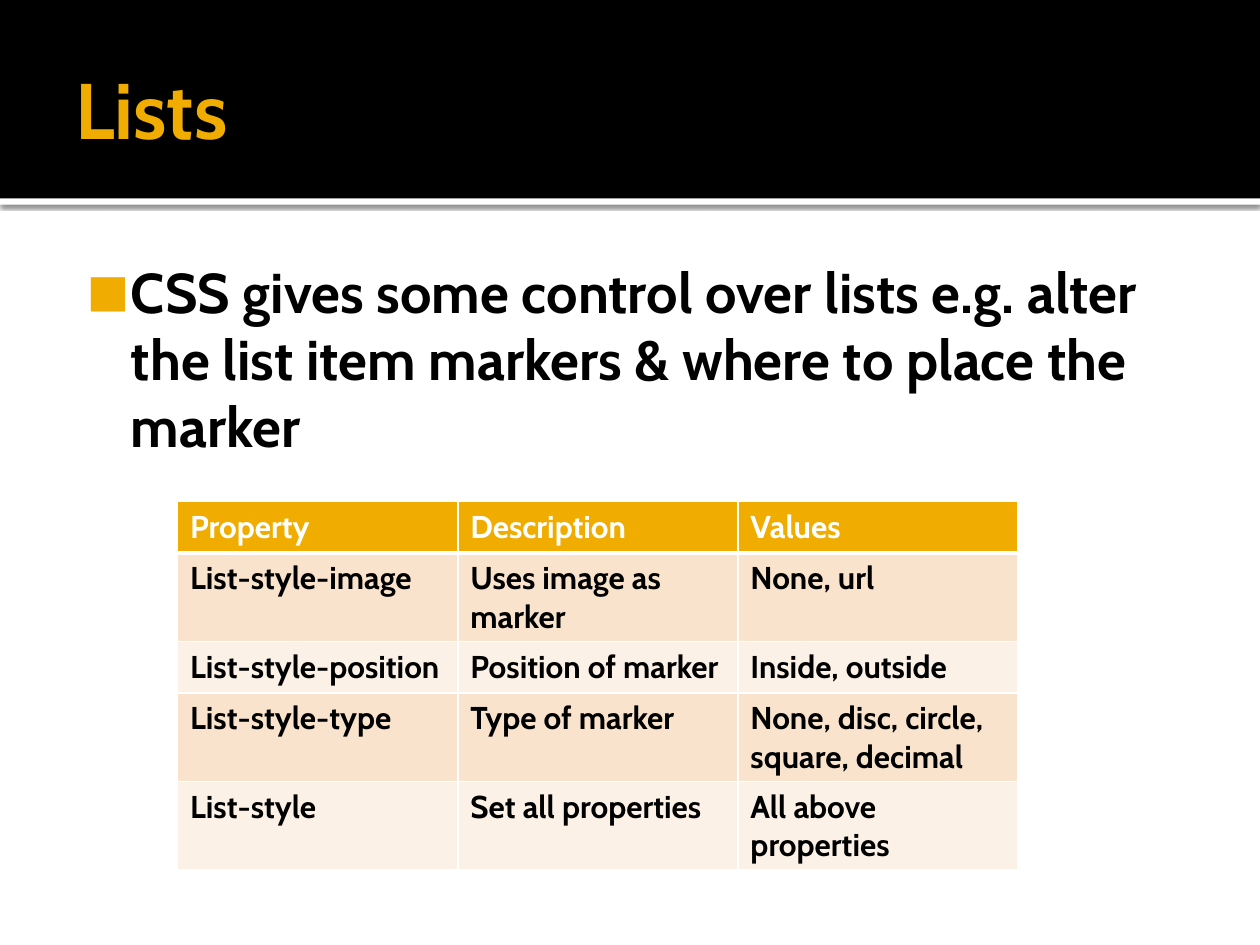
from dataclasses import dataclass

from lxml.etree import SubElement
from pptx import Presentation
from pptx.dml.color import RGBColor as Rgb
from pptx.enum.shapes import MSO_SHAPE as Shape
from pptx.enum.text import MSO_ANCHOR as Anchor
from pptx.oxml import parse_xml
from pptx.oxml.ns import nsdecls, qn
from pptx.util import Inches, Pt

WIDE, HIGH = 10, 7.5


@dataclass(frozen=True)
class Theme:
    font: str = "Cabin"
    gold: str = "F0AD00"
    black: str = "000000"
    white: str = "FFFFFF"
    bands: tuple = ("F9E3CC", "FCF1E7")
    title: int = 45
    body: int = 32
    cell: int = 18


THEME = Theme()

ROWS = [
    ("Property", "Description", "Values"),
    ("List-style-image", "Uses image as marker", "None, url"),
    ("List-style-position", "Position of marker", "Inside, outside"),
    ("List-style-type", "Type of marker", "None, disc, circle, square, decimal"),
    ("List-style", "Set all properties", "All above properties"),
]


def span(box):
    return [Inches(v) for v in box]


def write(frame, text, size, color, pad=None, anchor=Anchor.TOP):
    """Fill a text frame; pad is left, top, right, bottom in inches."""
    frame.word_wrap = True
    frame.vertical_anchor = anchor
    if pad:
        (frame.margin_left, frame.margin_top,
         frame.margin_right, frame.margin_bottom) = span(pad)
    para = frame.paragraphs[0]
    run = para.add_run()
    run.text = text
    font = run.font
    font.name, font.size, font.bold = THEME.font, Pt(size), True
    font.color.rgb = Rgb.from_string(color)
    return para


def bullet(para, left, hang):
    props = para._p.get_or_add_pPr()
    props.set("marL", str(Inches(left)))
    props.set("indent", str(-Inches(hang)))
    tint = SubElement(props, qn("a:buClr"))
    SubElement(tint, qn("a:srgbClr"), val=THEME.gold)
    SubElement(props, qn("a:buSzPct"), val="80000")
    SubElement(props, qn("a:buFont"), typeface=THEME.font)
    SubElement(props, qn("a:buChar"), char="■")


def bar(slide, box, color):
    shape = slide.shapes.add_shape(Shape.RECTANGLE, *span(box))
    shape.shadow.inherit = False
    shape.fill.solid()
    shape.fill.fore_color.rgb = Rgb.from_string(color)
    shape.line.fill.background()
    return shape


def shade(shape):
    """Cast a soft shadow straight down."""
    effects = shape._element.spPr.find(qn("a:effectLst"))
    effects.append(parse_xml(
        f'<a:outerShdw {nsdecls("a")} blurRad="{Pt(2.5)}" dist="{Pt(0.8)}" '
        f'dir="5400000" rotWithShape="0"><a:srgbClr val="{THEME.black}">'
        '<a:alpha val="60000"/></a:srgbClr></a:outerShdw>'))


def header(slide, box):
    left, top, width, height = box
    shade(bar(slide, (left, top + height, width, 0.05), THEME.white))
    bar(slide, box, THEME.black)
    spot = (left + width * 0.05, top + 0.17, width * 0.9, height - 0.2)
    frame = slide.shapes.add_textbox(*span(spot)).text_frame
    write(frame, "Lists", THEME.title, THEME.gold,
          pad=(0.1, 0.05, 0.05, 0.05), anchor=Anchor.MIDDLE)


def body(slide, box):
    frame = slide.shapes.add_textbox(*span(box)).text_frame
    para = write(
        frame, "CSS gives some control over lists e.g. alter the list item "
        "markers & where to place the marker", THEME.body, THEME.black,
        pad=(0.06, 0.1, 0.1, 0.05))
    bullet(para, 0.48, 0.35)


def edge(cell, widths):
    """Draw the cell's borders; widths maps a side to points."""
    props = cell._tc.get_or_add_tcPr()
    for i, side in enumerate("LRTB"):
        props.insert(i, parse_xml(
            f'<a:ln{side} {nsdecls("a")} w="{Pt(widths.get(side, 1))}">'
            f'<a:solidFill><a:srgbClr val="{THEME.white}"/></a:solidFill>'
            f'</a:ln{side}>'))


def grid(slide, box, rows):
    frame = slide.shapes.add_table(len(rows), len(rows[0]), *span(box))
    table = frame.table
    for r, row in enumerate(rows):
        head = r == 0
        fill = THEME.gold if head else THEME.bands[(r - 1) % 2]
        color = THEME.white if head else THEME.black
        thick = {0: {"B": 3}, 1: {"T": 3}}.get(r, {})
        for c, text in enumerate(row):
            cell = table.cell(r, c)
            cell.fill.solid()
            cell.fill.fore_color.rgb = Rgb.from_string(fill)
            write(cell.text_frame, text, THEME.cell, color)
            edge(cell, thick)


def main():
    deck = Presentation()
    deck.slide_width, deck.slide_height = Inches(WIDE), Inches(HIGH)
    slide = deck.slides.add_slide(deck.slide_layouts[6])
    header(slide, (0, 0, WIDE, HIGH * 0.21))
    body(slide, (WIDE * 0.05, 1.94, WIDE * 0.9, 5.06))
    grid(slide, (1.41, 3.98, 6.67, 0.41 * len(ROWS)), ROWS)
    deck.save("out.pptx")


if __name__ == "__main__":
    main()
